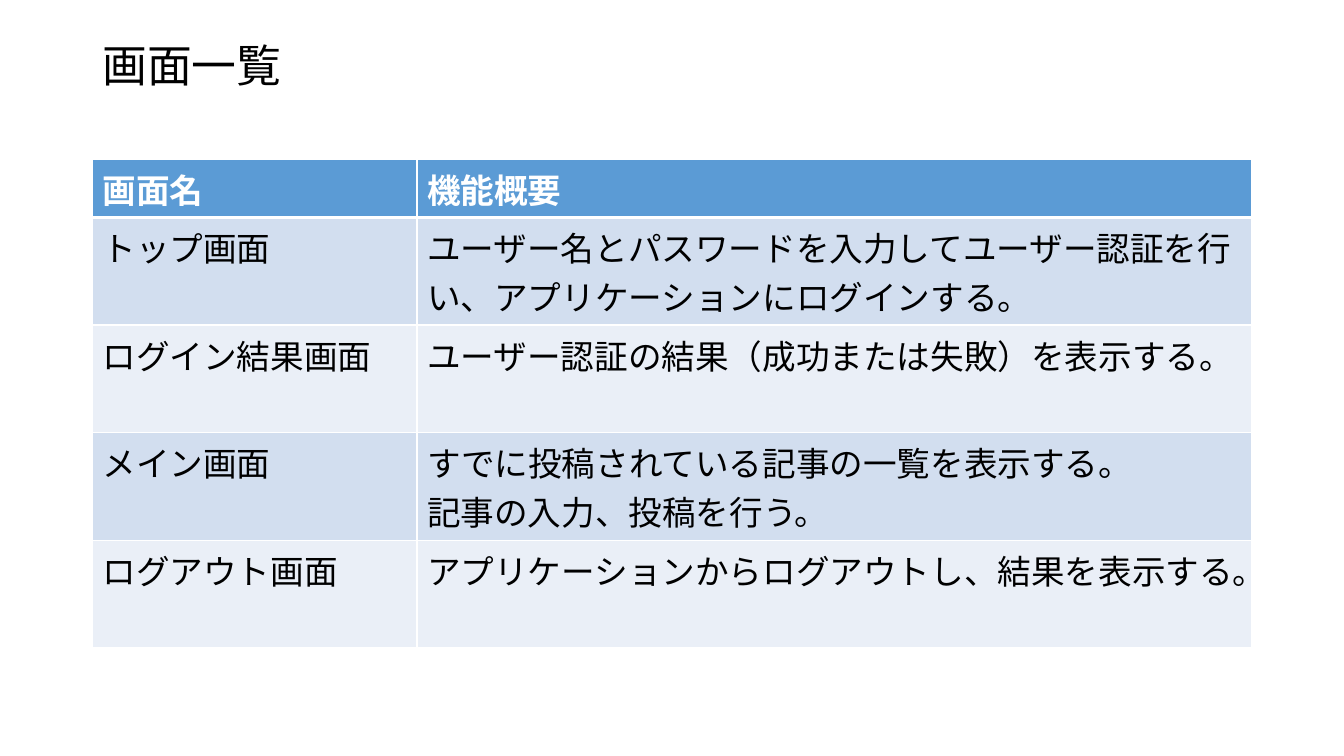
"""Build the slide that lists the screens of the application."""
import pptx
import pptx.dml.color
import pptx.enum.lang
import pptx.enum.text
import pptx.oxml
import pptx.oxml.ns
import pptx.util
from lxml import etree
from pptx.util import Cm

FONT = "Noto Sans CJK JP"
SCREENS = [
    ("画面名", "機能概要"),
    ("トップ画面", "ユーザー名とパスワードを入力してユーザー認証を行い、アプリケーションにログインする。"),
    ("ログイン結果画面", "ユーザー認証の結果（成功または失敗）を表示する。"),
    ("メイン画面", "すでに投稿されている記事の一覧を表示する。\n記事の入力、投稿を行う。"),
    ("ログアウト画面", "アプリケーションからログアウトし、結果を表示する。"),
]


def color(value):
    return pptx.dml.color.RGBColor.from_string(value)


def write(frame, text, size=24, ink="000000", bold=False, spacing=None):
    frame.word_wrap = True
    frame.text = text
    for paragraph in frame.paragraphs:
        paragraph.line_spacing = spacing
        for run in paragraph.runs:
            run.font.name = FONT
            run.font.size = pptx.util.Pt(size)
            run.font.bold = bold
            run.font.color.rgb = color(ink)
            run.font.language_id = pptx.enum.lang.MSO_LANGUAGE_ID.JAPANESE
            east_asian = pptx.oxml.parse_xml(
                f'<a:ea {pptx.oxml.ns.nsdecls("a")} typeface="{FONT}"/>')
            run.font._element.find(pptx.oxml.ns.qn("a:latin")).addnext(east_asian)


deck = pptx.Presentation()
deck.slide_width, deck.slide_height = Cm(33.87), Cm(19.05)
slide = deck.slides.add_slide(deck.slide_layouts[6])

heading = slide.shapes.add_textbox(Cm(2.33), Cm(1.01), Cm(29.21), Cm(1.43)).text_frame
heading.vertical_anchor = pptx.enum.text.MSO_ANCHOR.MIDDLE
write(heading, "画面一覧", size=32, spacing=0.9)

screen_list = slide.shapes.add_table(
    len(SCREENS), 2, Cm(2.33), Cm(4.02), Cm(29.21), Cm(12.3)).table
for column, width in zip(screen_list.columns, (8.18, 21.03)):
    column.width = Cm(width)

for row, texts in enumerate(SCREENS):
    header = row == 0
    screen_list.rows[row].height = Cm(1.46 if header else 2.71)
    for column, text in enumerate(texts):
        cell = screen_list.cell(row, column)
        write(cell.text_frame, text, ink="FFFFFF" if header else "000000", bold=header)
        properties = cell._tc.get_or_add_tcPr()
        for side in "LRTB":
            under_header = (row, side) in ((0, "B"), (1, "T"))
            border = etree.SubElement(properties, pptx.oxml.ns.qn(f"a:ln{side}"),
                                      w=str(pptx.util.Pt(3 if under_header else 1)))
            paint = etree.SubElement(border, pptx.oxml.ns.qn("a:solidFill"))
            etree.SubElement(paint, pptx.oxml.ns.qn("a:srgbClr"), val="FFFFFF")
        cell.fill.solid()
        cell.fill.fore_color.rgb = color(
            "5B9BD5" if header else "D2DEEF" if row % 2 else "EAEFF7")

deck.save("out.pptx")
